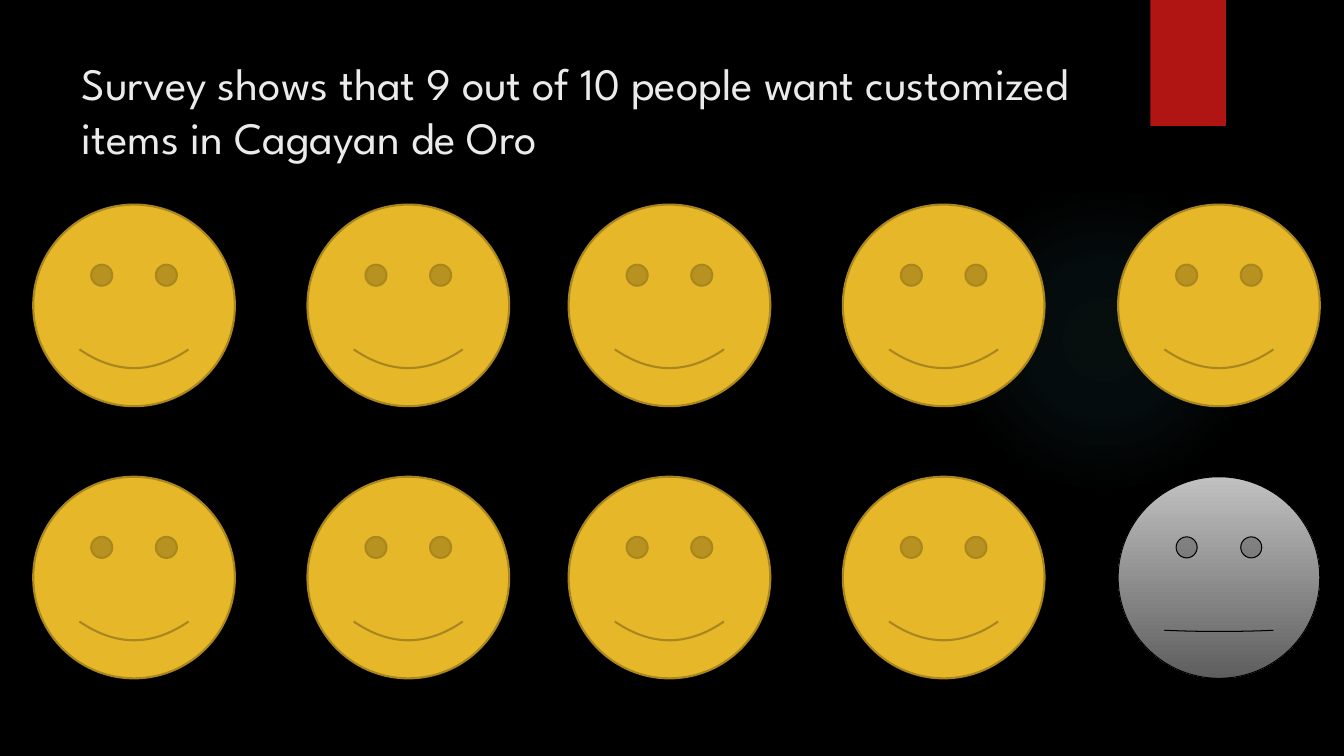
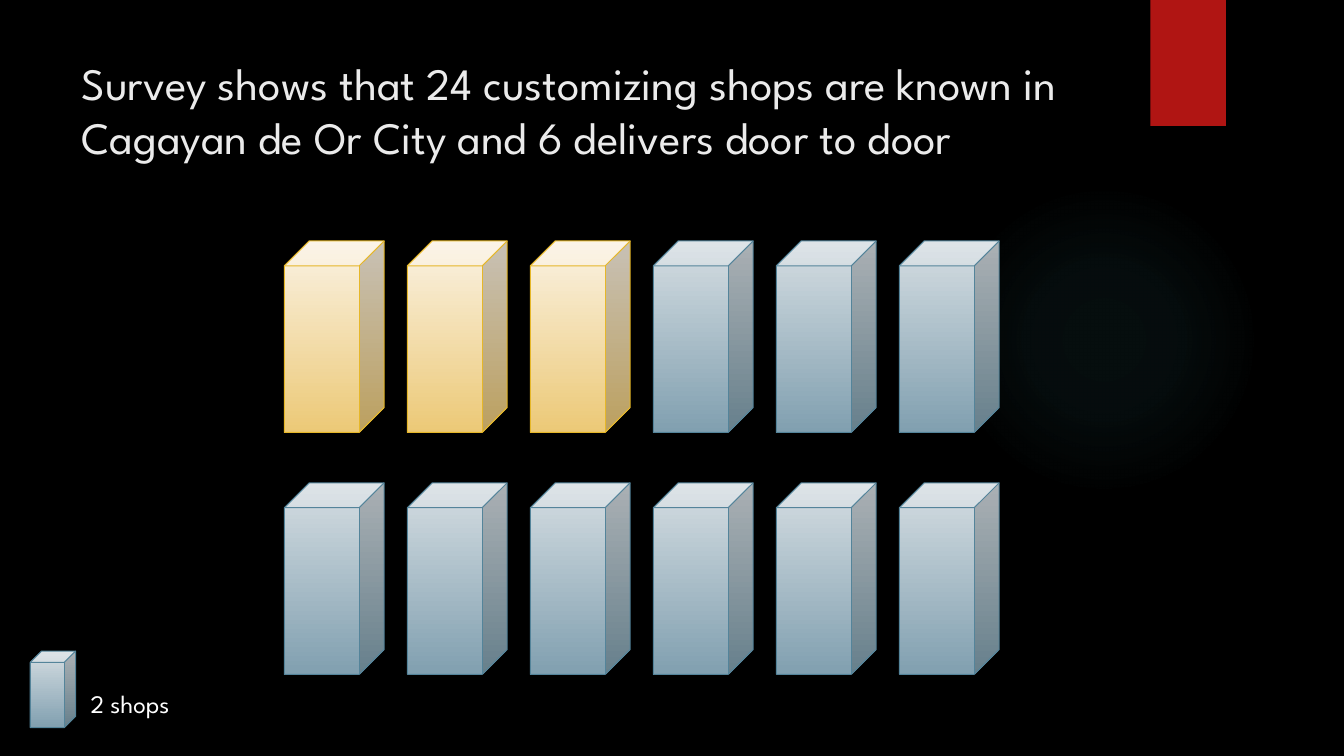
from dataclasses import dataclass

import pptx
import pptx.dml.color
import pptx.enum.shapes
import pptx.enum.text
import pptx.oxml
import pptx.oxml.ns
import pptx.shapes.autoshape
import pptx.slide
import pptx.util

SHAPE = pptx.enum.shapes.MSO_SHAPE
WIDTH, HEIGHT = 13.33, 7.5
FONT = "League Spartan"
COLORS = {
    "background": "000000", "band": "B01513", "glow": "50B9C1",
    "title": "EBEBEB", "legend": "FFFFFF",
}


@dataclass(frozen=True)
class Box:
    left: float
    top: float
    width: float
    height: float


@dataclass(frozen=True)
class Look:
    """One fill colour is solid; two run from top to bottom."""
    fill: tuple[str, ...]
    line: str | None = None
    line_width: float = 0.75


@dataclass(frozen=True)
class Grid:
    columns: tuple[float, ...]
    rows: tuple[float, ...]
    width: float
    height: float

    def cells(self) -> list[Box]:
        return [Box(left, top, self.width, self.height)
                for top in self.rows for left in self.columns]


BAND_BOX = Box(11.41, 0, 0.75, HEIGHT / 6)
GLOW_BOX = Box(9.41, 1.83, 3.08, 3.08)
TITLE_BOX = Box(0.71, 0.5, 10.29, 1.53)

HAPPY = Look(("E6B729",), "AA871E", 1.5)
NEUTRAL = Look(("C1C1C1", "5E5E5E"), "000000")
DELIVERS = Look(("FAF2E3", "ECC977"), "E6B729")
SHOP = Look(("D5DDE2", "81A0B0"), "54849A")

PEOPLE = Grid((0.33, 3.05, 5.64, 8.36, 11.09), (2.03, 4.73), 2, 2)
WANTING = 9
SHOPS = Grid(tuple(2.82 + 1.22 * column for column in range(6)),
             (2.39, 4.79), 0.99, 1.9)
SHOPS_PER_CUBE = 2
DELIVERING = 6


def rgb(color: str) -> pptx.dml.color.RGBColor:
    return pptx.dml.color.RGBColor.from_string(color)


def inches(box: Box) -> tuple[pptx.util.Length, ...]:
    return tuple(pptx.util.Inches(length)
                 for length in (box.left, box.top, box.width, box.height))


def add_figure(slide: pptx.slide.Slide, kind: SHAPE, box: Box,
               look: Look) -> pptx.shapes.autoshape.Shape:
    figure = slide.shapes.add_shape(kind, *inches(box))
    figure.shadow.inherit = False
    if len(look.fill) == 1:
        figure.fill.solid()
        figure.fill.fore_color.rgb = rgb(look.fill[0])
    else:
        figure.fill.gradient()
        figure.fill.gradient_angle = 270
        for stop, color in zip(figure.fill.gradient_stops, look.fill):
            stop.color.rgb = rgb(color)
    if look.line:
        figure.line.color.rgb = rgb(look.line)
        figure.line.width = pptx.util.Pt(look.line_width)
    else:
        figure.line.fill.background()
    return figure


def drawing_xml(tag: str, attributes: str, content: str):
    return pptx.oxml.parse_xml(
        f'<a:{tag} {pptx.oxml.ns.nsdecls("a")} {attributes}>{content}</a:{tag}>')


def fade_outwards(glow: pptx.shapes.autoshape.Shape, color: str) -> None:
    stops = "".join(
        f'<a:gs pos="{place * 1000}"><a:srgbClr val="{color}">'
        f'<a:alpha val="{opacity * 1000}"/></a:srgbClr></a:gs>'
        for place, opacity in ((0, 7), (36, 6), (69, 0)))
    centre = " ".join(f'{side}="50000"' for side in "ltrb")
    gradient = drawing_xml(
        "gradFill", "",
        f'<a:gsLst>{stops}</a:gsLst>'
        f'<a:path path="circle"><a:fillToRect {centre}/></a:path>')
    properties = glow.element.spPr
    solid = properties.find(pptx.oxml.ns.qn("a:solidFill"))
    properties.replace(solid, gradient)


def drop_shadow(band: pptx.shapes.autoshape.Shape) -> None:
    effects = band.element.spPr.find(pptx.oxml.ns.qn("a:effectLst"))
    effects.append(drawing_xml(
        "outerShdw", 'blurRad="38100" dist="25400" dir="5400000"',
        '<a:srgbClr val="000000"><a:alpha val="45000"/></a:srgbClr>'))


def style_layout(layout: pptx.slide.SlideLayout,
                 first: pptx.slide.Slide) -> None:
    """Put background, glow and band on the layout, drawing them via a slide."""
    layout.background.fill.solid()
    layout.background.fill.fore_color.rgb = rgb(COLORS["background"])
    for placeholder in list(layout.placeholders):
        if placeholder.placeholder_format.idx:
            layout.shapes.element.remove(placeholder.element)
    glow = add_figure(first, SHAPE.OVAL, GLOW_BOX, Look((COLORS["glow"],)))
    fade_outwards(glow, COLORS["glow"])
    band = add_figure(first, SHAPE.RECTANGLE, BAND_BOX, Look((COLORS["band"],)))
    drop_shadow(band)
    for decoration in (glow, band):
        layout.shapes.element.append(decoration.element)


def style_paragraph(paragraph, size: float, color: str) -> None:
    paragraph.alignment = pptx.enum.text.PP_ALIGN.LEFT
    paragraph.font.name = FONT
    paragraph.font.size = pptx.util.Pt(size)
    paragraph.font.color.rgb = rgb(color)


def set_title(slide: pptx.slide.Slide, text: str) -> None:
    title = slide.shapes.title
    title.left, title.top, title.width, title.height = inches(TITLE_BOX)
    frame = title.text_frame
    frame.text = text
    frame.word_wrap = True
    frame.auto_size = pptx.enum.text.MSO_AUTO_SIZE.NONE
    frame.vertical_anchor = pptx.enum.text.MSO_ANCHOR.TOP
    style_paragraph(frame.paragraphs[0], 32, COLORS["title"])


def add_people(slide: pptx.slide.Slide) -> None:
    for number, cell in enumerate(PEOPLE.cells()):
        wants = number < WANTING
        face = add_figure(slide, SHAPE.SMILEY_FACE, cell,
                          HAPPY if wants else NEUTRAL)
        if not wants:
            face.adjustments[0] = 0.003


def add_shops(slide: pptx.slide.Slide) -> None:
    for number, cell in enumerate(SHOPS.cells()):
        delivers = number < DELIVERING // SHOPS_PER_CUBE
        add_figure(slide, SHAPE.CUBE, cell, DELIVERS if delivers else SHOP)


def add_legend(slide: pptx.slide.Slide) -> None:
    add_figure(slide, SHAPE.CUBE, Box(0.3, 6.46, 0.45, 0.76), SHOP)
    label = slide.shapes.add_textbox(*inches(Box(0.8, 6.78, 2.21, 0.4)))
    frame = label.text_frame
    frame.text = f"{SHOPS_PER_CUBE} shops"
    frame.word_wrap = True
    frame.auto_size = pptx.enum.text.MSO_AUTO_SIZE.SHAPE_TO_FIT_TEXT
    style_paragraph(frame.paragraphs[0], 18, COLORS["legend"])


def main() -> None:
    deck = pptx.Presentation()
    deck.slide_width = pptx.util.Inches(WIDTH)
    deck.slide_height = pptx.util.Inches(HEIGHT)
    title_only = deck.slide_layouts.get_by_name("Title Only")

    demand = deck.slides.add_slide(title_only)
    style_layout(title_only, demand)
    set_title(demand, "Survey shows that 9 out of 10 people want customized "
                      "items in Cagayan de Oro")
    add_people(demand)

    supply = deck.slides.add_slide(title_only)
    set_title(supply, "Survey shows that 24 customizing shops are known in "
                      "Cagayan de Or City and 6 delivers door to door")
    add_shops(supply)
    add_legend(supply)

    deck.save("out.pptx")


if __name__ == "__main__":
    main()
